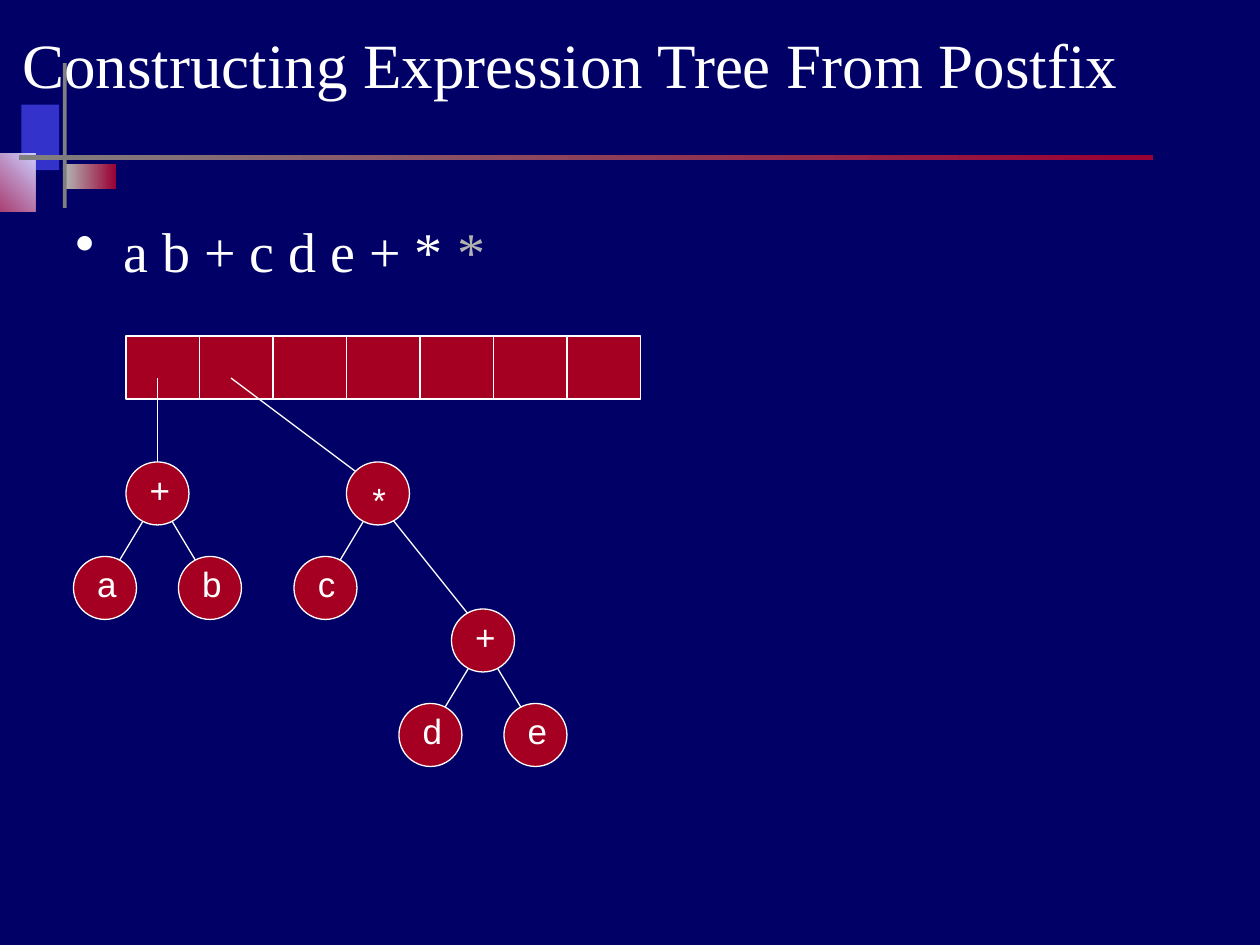
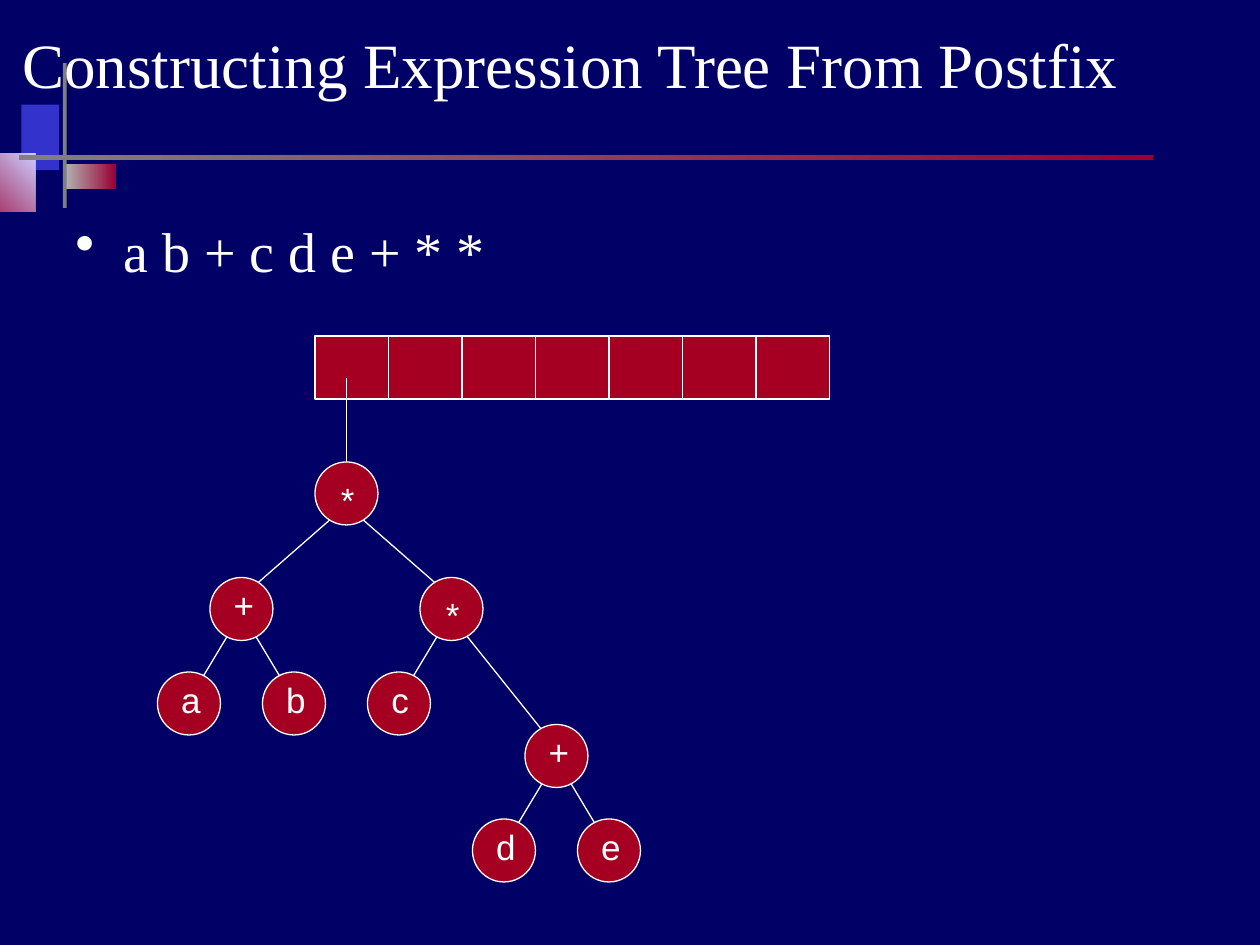
from dataclasses import dataclass

from lxml import etree
from pptx import Presentation
from pptx.dml.color import RGBColor
from pptx.enum import shapes, text
from pptx.oxml import ns
from pptx.util import Inches, Pt

NAVY = RGBColor(0x00, 0x00, 0x66)
BLUE = RGBColor(0x33, 0x33, 0xCC)
LAVENDER = RGBColor(0xCC, 0xCC, 0xFF)
CRIMSON = RGBColor(0x99, 0x00, 0x33)
RED = RGBColor(0xA5, 0x00, 0x21)
GRAY = RGBColor(0x80, 0x80, 0x80)
SILVER = RGBColor(0xB2, 0xB2, 0xB2)
WHITE = RGBColor(0xFF, 0xFF, 0xFF)

RECTANGLE = shapes.MSO_SHAPE.RECTANGLE
OVAL = shapes.MSO_SHAPE.OVAL

# The diagrams sit on a grid of twelfths of an inch.
NODE_SIZE = 6
CELL_WIDTH = 7
CELL_COUNT = 7
STACK_TOP, STACK_BOTTOM = 32, 38
ROOT_TOP = 44


def grid(twelfths):
    return Inches(twelfths / 12)


@dataclass
class Node:
    """A tree node, placed by its offset from its parent in grid units."""
    symbol: str
    across: int
    down: int
    children: tuple = ()


def sum_tree(left, right, across=0, down=0):
    return Node("+", across, down, (Node(left, -5, 9), Node(right, 5, 9)))


def product_tree(across=0, down=0):
    """The tree of c * (d + e)."""
    return Node("*", across, down, (Node("c", -5, 9), sum_tree("d", "e", 10, 14)))


class Deck:
    def __init__(self):
        self.presentation = Presentation()
        self.presentation.slide_width = Inches(10)
        self.presentation.slide_height = Inches(7.5)
        self.slide = None

    def add_slide(self, title, expression):
        self.slide = self.presentation.slides.add_slide(self.presentation.slide_layouts[6])
        background = self.slide.background.fill
        background.solid()
        background.fore_color.rgb = NAVY
        self.add_decoration()
        title_box = self.add_text(self.slide.shapes, (0.08, 0, 9, 1), [(title, WHITE)],
                                  "Times New Roman", 36)
        title_box.text_frame.vertical_anchor = text.MSO_ANCHOR.MIDDLE
        self.add_text(self.slide.shapes, (0.5, 1.67, 9, 0.92), expression,
                      "Times New Roman", 32, bullet=True)

    def add_decoration(self):
        self.add_block((0.17, 0.83, 0.3, 0.52), BLUE)
        self.add_block((0.52, 1.3, 0.4, 0.2), SILVER, CRIMSON)
        self.add_block((-0.33, 1.22, 0.61, 0.46), CRIMSON, LAVENDER, angle=45)
        self.add_block((0.5, 0.5, 0.03, 1.15), GRAY)
        self.add_block((0.15, 1.23, 9, 0.04), GRAY, CRIMSON)

    def add_block(self, box, color, end_color=None, angle=0):
        """Add a borderless rectangle, with a gradient if end_color is given."""
        block = self.slide.shapes.add_shape(RECTANGLE, *map(Inches, box))
        block.shadow.inherit = False
        block.line.fill.background()
        if end_color is None:
            block.fill.solid()
            block.fill.fore_color.rgb = color
            return
        block.fill.gradient()
        block.fill.gradient_angle = angle
        for stop, stop_color in zip(block.fill.gradient_stops, (color, end_color)):
            stop.color.rgb = stop_color

    def add_text(self, parent, box, runs, font_name, size, bullet=False):
        text_box = parent.add_textbox(*map(Inches, box))
        text_box.text_frame.word_wrap = True
        paragraph = text_box.text_frame.paragraphs[0]
        if bullet:
            properties = paragraph._p.get_or_add_pPr()
            properties.set("marL", str(Inches(0.38)))
            properties.set("indent", str(-Inches(0.38)))
            etree.SubElement(properties, ns.qn("a:buChar")).set("char", "•")
        for words, color in runs:
            run = paragraph.add_run()
            run.text = words
            run.font.name = font_name
            run.font.size = Pt(size)
            run.font.color.rgb = color
        return text_box

    def add_line(self, start, end):
        line = self.slide.shapes.add_connector(
            shapes.MSO_CONNECTOR.STRAIGHT, *map(grid, (*start, *end)))
        line.line.color.rgb = WHITE
        line.line.width = Pt(0.75)
        etree.SubElement(line._element.spPr, ns.qn("a:effectLst"))

    def add_red_shape(self, parent, kind, box):
        shape = parent.add_shape(kind, *map(grid, box))
        shape.shadow.inherit = False
        shape.fill.solid()
        shape.fill.fore_color.rgb = RED
        shape.line.color.rgb = WHITE
        shape.line.width = Pt(0.75)

    def add_stack(self, left):
        self.add_red_shape(self.slide.shapes, RECTANGLE,
                           (left, STACK_TOP, CELL_COUNT * CELL_WIDTH, STACK_BOTTOM - STACK_TOP))
        for cell in range(1, CELL_COUNT):
            x = left + cell * CELL_WIDTH
            self.add_line((x, STACK_TOP), (x, STACK_BOTTOM))

    def add_node(self, symbol, left, top):
        group = self.slide.shapes.add_group_shape()
        self.add_red_shape(group.shapes, OVAL, (left, top, NODE_SIZE, NODE_SIZE))
        drop = 0.08 if symbol == "*" else 0
        label = self.add_text(group.shapes, (left / 12 + 0.09, top / 12 + drop, 0.34, 0.44),
                              [(symbol, WHITE)], "Arial", 20)
        label.text_frame.word_wrap = False
        label.text_frame.auto_size = text.MSO_AUTO_SIZE.SHAPE_TO_FIT_TEXT
        label.text_frame.paragraphs[0].alignment = text.PP_ALIGN.CENTER

    def add_tree(self, node, left, top):
        """Draw each edge before the nodes it joins, so that they cover its ends."""
        center = left + NODE_SIZE / 2
        for child in node.children:
            side = 1 if child.across > 0 else -1
            self.add_line((center + side, top + 5),
                          (center + child.across - side, top + child.down + 1))
            self.add_tree(child, left + child.across, top + child.down)
        self.add_node(node.symbol, left, top)


def main():
    deck = Deck()
    title = "Constructing Expression Tree From Postfix"

    deck.add_slide(title, [("a b + c d e + *", WHITE), (" *", SILVER)])
    deck.add_stack(12)
    deck.add_line((15, 36), (15, ROOT_TOP))
    deck.add_line((22, 36), (34, ROOT_TOP + 1))
    deck.add_tree(sum_tree("a", "b"), 12, ROOT_TOP)
    deck.add_tree(product_tree(), 33, ROOT_TOP)

    deck.add_slide(title, [("a b + c d e + * *", WHITE)])
    deck.add_stack(30)
    deck.add_line((33, 36), (33, ROOT_TOP))
    whole_tree = Node("*", 0, 0, (sum_tree("a", "b", -10, 11), product_tree(10, 11)))
    deck.add_tree(whole_tree, 30, ROOT_TOP)

    deck.presentation.save("out.pptx")


if __name__ == "__main__":
    main()
